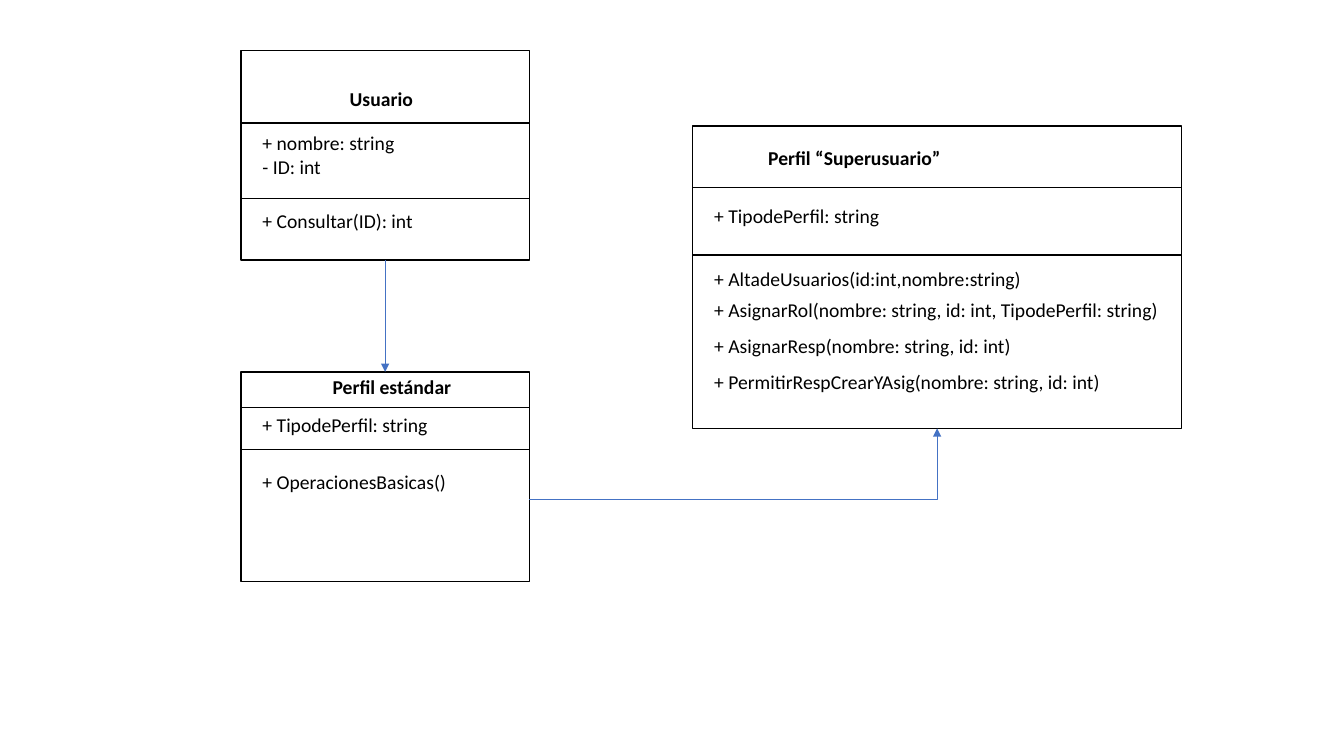
"""Build a UML class slide with three classes joined by arrows."""
from dataclasses import dataclass

from pptx import Presentation
from pptx import util as u
from pptx.dml.color import RGBColor
from pptx.enum import shapes, text
from pptx.oxml import parse_xml
from pptx.oxml.ns import nsdecls, qn

BLACK = RGBColor(0x00, 0x00, 0x00)
BLUE = RGBColor(0x44, 0x72, 0xC4)
FONT = "Calibri"
CELL = u.Inches(0.1)
TEXT_HEIGHT = 3.4
MEMBER_INDENT = 1.15


@dataclass(frozen=True)
class Label:
    """Text at a grid row, with an indent and a width in columns."""

    words: str
    row: float
    width: float
    indent: float = MEMBER_INDENT


@dataclass(frozen=True)
class UmlClass:
    """Class frame, its name, its divider rows and its members."""

    column: float
    row: float
    width: float
    height: float
    name: Label
    dividers: tuple[float, ...]
    members: tuple[Label, ...]

    @property
    def right(self) -> float:
        return self.column + self.width

    @property
    def bottom(self) -> float:
        return self.row + self.height

    @property
    def middle(self) -> float:
        return self.column + self.width / 2


USER = UmlClass(
    23.9, 5, 28.6, 20.8, Label("Usuario", 8.1, 10.6, 9.8), (12.2, 19.7),
    (Label("+ nombre: string", 12.5, 17.4),
     Label("- ID: int", 14.9, 17.4),
     Label("+ Consultar(ID): int", 20.2, 17.4)))
STANDARD = UmlClass(
    23.9, 36.9, 28.6, 20.8, Label("Perfil estándar", 36.7, 15, 8.1), (40.4, 44.6),
    (Label("+ TipodePerfil: string", 40.5, 21),
     Label("+ OperacionesBasicas()", 46.1, 21)))
SUPERUSER = UmlClass(
    68.7, 12.5, 48.5, 30, Label("Perfil “Superusuario”", 14, 23.9, 6.5), (18.6, 25.3),
    (Label("+ TipodePerfil: string", 19.7, 25.9),
     Label("+ AltadeUsuarios(id:int,nombre:string)", 26, 33),
     Label("+ AsignarRol(nombre: string, id: int, TipodePerfil: string)", 29.1, 47.3),
     Label("+ AsignarResp(nombre: string, id: int)", 32.6, 47.3),
     Label("+ PermitirRespCrearYAsig(nombre: string, id: int)", 36.2, 47.3)))
ELBOW_ROW = 49.5


def grid(*cells: float) -> list[u.Emu]:
    """Turn grid columns and rows into lengths."""
    return [u.Emu(round(cell * CELL)) for cell in cells]


def add_text(page, words: str, column: float, row: float, width: float, *,
             size: float = 14, bold: bool = False, color: RGBColor = BLACK):
    """Add one line of formatted text."""
    box = page.shapes.add_textbox(*grid(column, row, width, TEXT_HEIGHT))
    box.text_frame.word_wrap = True
    box.text_frame.auto_size = text.MSO_AUTO_SIZE.SHAPE_TO_FIT_TEXT
    span = box.text_frame.paragraphs[0].add_run()
    span.text = words
    span.font.name, span.font.size, span.font.bold = FONT, u.Pt(size), bold
    span.font.color.rgb = color


def add_line(page, start: tuple[float, float], end: tuple[float, float], *,
             color: RGBColor = BLACK, width: float = 1,
             arrow: bool = False, bent: bool = False):
    """Add a straight or right-angled line, with an arrowhead if wanted."""
    line = page.shapes.add_connector(shapes.MSO_CONNECTOR.STRAIGHT, *grid(*start, *end))
    line.line.color.rgb, line.line.width = color, u.Pt(width)
    properties = line._element.spPr
    if bent:
        properties.find(qn("a:prstGeom")).set("prst", "bentConnector2")
    if arrow:
        line.line._get_or_add_ln().append(
            parse_xml(f'<a:tailEnd {nsdecls("a")} type="triangle"/>'))
    properties.append(parse_xml(f'<a:effectLst {nsdecls("a")}/>'))
    return line


def add_class(page, uml: UmlClass):
    """Draw a class and return its frame."""
    frame = page.shapes.add_shape(
        shapes.MSO_SHAPE.RECTANGLE, *grid(uml.column, uml.row, uml.width, uml.height))
    frame.shadow.inherit = False
    frame.fill.background()
    frame.line.color.rgb, frame.line.width = BLACK, u.Pt(1)
    for row in uml.dividers:
        add_line(page, (uml.column, row), (uml.right, row))
    for label in (uml.name, *uml.members):
        add_text(page, label.words, uml.column + label.indent, label.row, label.width,
                 bold=label is uml.name)
    return frame


def main() -> None:
    """Create and save the deck."""
    deck = Presentation()
    deck.slide_width, deck.slide_height = u.Inches(13.33), u.Inches(7.5)
    page = deck.slides.add_slide(deck.slide_layouts.get_by_name("Blank"))
    user, standard, _ = [add_class(page, uml) for uml in (USER, STANDARD, SUPERUSER)]
    arrow = dict(color=BLUE, width=0.5, arrow=True)
    link = add_line(page, (USER.middle, USER.bottom), (STANDARD.middle, STANDARD.row), **arrow)
    link.begin_connect(user, 2)
    link.end_connect(standard, 0)
    add_line(page, (STANDARD.right, ELBOW_ROW), (SUPERUSER.middle, SUPERUSER.bottom),
             bent=True, **arrow)
    deck.save("out.pptx")


main()
